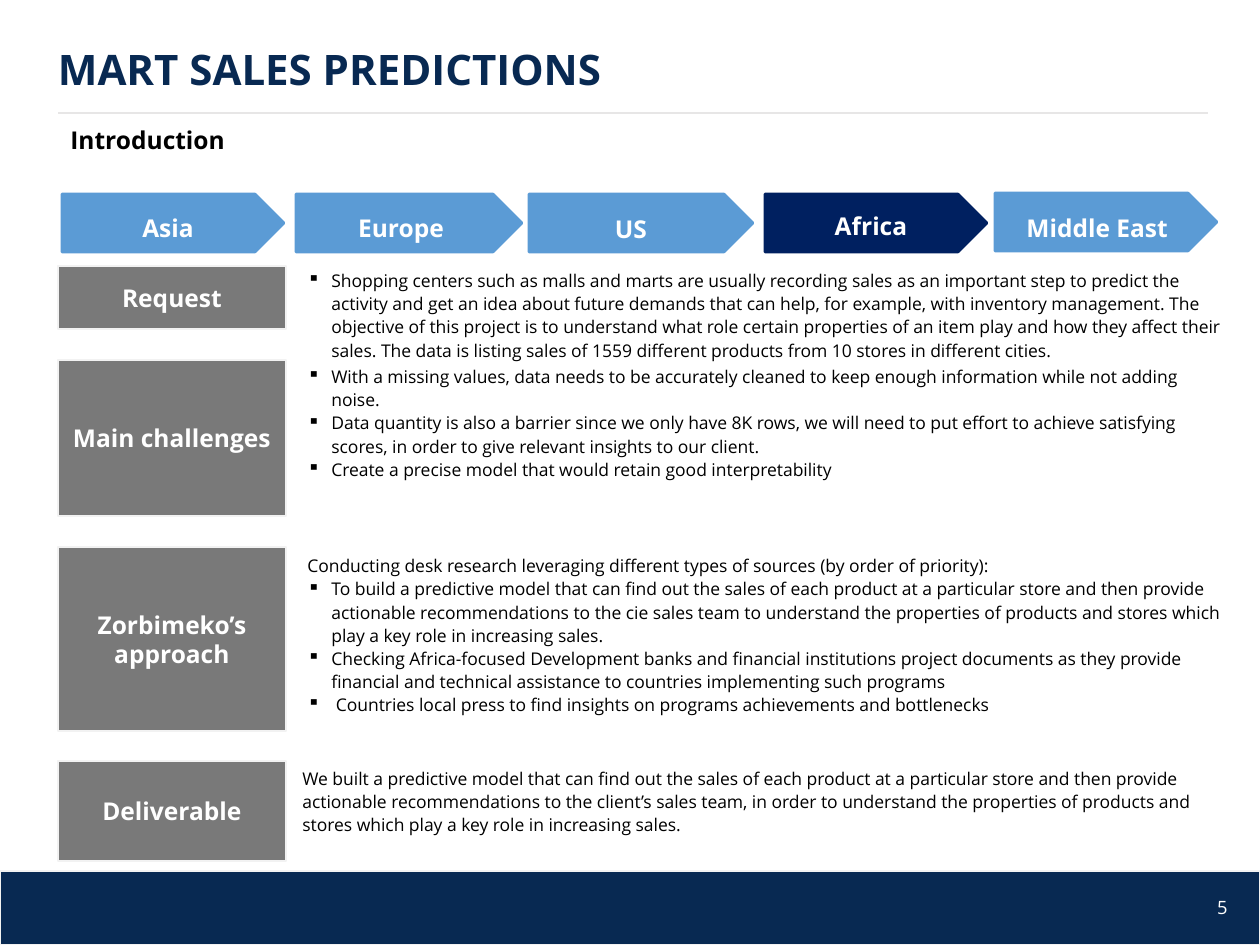
import pptx
import pptx.dml.color
import pptx.enum.shapes
import pptx.enum.text
import pptx.oxml.ns
import pptx.util
from lxml import etree

RGBColor = pptx.dml.color.RGBColor
Shapes = pptx.enum.shapes.MSO_SHAPE
Align = pptx.enum.text.PP_ALIGN
Anchor = pptx.enum.text.MSO_ANCHOR

NAVY = RGBColor(0x08, 0x29, 0x52)
DEEP_BLUE = RGBColor(0x00, 0x20, 0x60)
SKY = RGBColor(0x5B, 0x9B, 0xD5)
GREY = RGBColor(0x79, 0x79, 0x79)
PALE = RGBColor(0xF2, 0xF2, 0xF2)
RULE = RGBColor(0xE7, 0xE6, 0xE6)
WHITE = RGBColor(0xFF, 0xFF, 0xFF)
BLACK = RGBColor(0x00, 0x00, 0x00)

FONT = "Open Sans"
INDENT = 24
BULLET = "▪"

# Region name, chevron (left, top, width), label (left, top), fill, alignment
REGIONS = [
    ("Asia", (62, 194, 222), (69, 204), SKY, Align.CENTER),
    ("Europe", (296, 194, 226), (302, 204), SKY, Align.CENTER),
    ("US", (529, 194, 224), (532, 205), SKY, Align.CENTER),
    ("Africa", (765, 194, 222), (772, 202), DEEP_BLUE, Align.CENTER),
    ("Middle East", (995, 193, 222), (1014, 204), SKY, Align.LEFT),
]

# Heading, heading (top, height), text box, (bulleted, wording) paragraphs
SECTIONS = [
    ("Request", (266, 63), (295, 262, 956, 100), [
        (True, "Shopping centers such as malls and marts are usually recording sales as an "
               "important step to predict the activity and get an idea about future demands that "
               "can help, for example, with inventory management. The objective of this project is "
               "to understand what role certain properties of an item play and how they affect "
               "their sales. The data is listing sales of 1559 different products from 10 stores "
               "in different cities."),
    ]),
    ("Main challenges", (360, 156), (295, 358, 945, 152), [
        (True, "With a missing values, data needs to be accurately cleaned to keep enough "
               "information while not adding noise."),
        (True, "Data quantity is also a barrier since we only have 8K rows, we will need to put "
               "effort to achieve satisfying scores, in order to give relevant insights to our "
               "client."),
        (True, "Create a precise model that would retain good interpretability"),
    ]),
    ("Zorbimeko’s approach", (547, 184), (295, 547, 945, 184), [
        (False, "Conducting desk research leveraging different types of sources (by order of "
                "priority):"),
        (True, "To build a predictive model that can find out the sales of each product at a "
               "particular store and then provide actionable recommendations to the cie sales team "
               "to understand the properties of products and stores which play a key role in "
               "increasing sales."),
        (True, "Checking Africa-focused Development banks and financial institutions project "
               "documents as they provide financial and technical assistance to countries "
               "implementing such programs"),
        (True, " Countries local press to find insights on programs achievements and bottlenecks"),
    ]),
    ("Deliverable", (761, 100), (290, 760, 953, 100), [
        (False, "We built a predictive model that can find out the sales of each product at a "
                "particular store and then provide actionable recommendations to the client’s "
                "sales team, in order to understand the properties of products and stores which "
                "play a key role in increasing sales."),
    ]),
]


def px(length):
    return pptx.util.Emu(round(length * 914400 / 126))


def style_para(para, size, color, bold=False, align=Align.LEFT, spacing=1.1):
    para.alignment = align
    para.line_spacing = spacing
    para.font.name = FONT
    para.font.size = pptx.util.Pt(size)
    para.font.bold = bold
    para.font.color.rgb = color


def add_bullet(para):
    properties = para._p.get_or_add_pPr()
    properties.set("marL", str(px(INDENT)))
    properties.set("indent", str(px(-INDENT)))
    mark = etree.SubElement(properties, pptx.oxml.ns.qn("a:buChar"))
    mark.set("char", BULLET)


def add_text(page, box, text, size, color, **style):
    frame = page.shapes.add_textbox(*map(px, box)).text_frame
    frame.word_wrap = True
    para = frame.paragraphs[0]
    para.text = text
    style_para(para, size, color, **style)
    return frame


def add_block(page, kind, box, fill, line, line_width):
    shape = page.shapes.add_shape(kind, *map(px, box))
    shape.shadow.inherit = False
    shape.fill.solid()
    shape.fill.fore_color.rgb = fill
    shape.line.color.rgb = line
    shape.line.width = pptx.util.Pt(line_width)
    return shape


def add_header(page, left, top, width):
    title = add_text(page, (left, top, width, 60), "MART SALES PREDICTIONS", 24, NAVY,
                     bold=True, spacing=0.9)
    title.margin_left = title.margin_right = 0
    rule = page.shapes.add_connector(
        pptx.enum.shapes.MSO_CONNECTOR.STRAIGHT,
        px(left + width + 6), px(top + 70), px(left), px(top + 70))
    rule.line.color.rgb = RULE
    rule.line.width = pptx.util.Pt(0.75)
    etree.SubElement(rule._element.spPr, pptx.oxml.ns.qn("a:effectLst"))
    add_text(page, (left, top + 73, width, 70), "Introduction", 14, BLACK, bold=True)


def add_region(page, name, chevron, label, fill, align):
    add_block(page, Shapes.PENTAGON, (*chevron, 58), fill, fill, 1.5)
    add_text(page, (*label, 198, 43), name, 14, WHITE, bold=True, align=align)


def add_section(page, heading, span, text_box, items):
    # Grey heading
    top, height = span
    block = add_block(page, Shapes.RECTANGLE, (58, top, 228, height), GREY, PALE, 0.75)
    block.text_frame.word_wrap = True
    block.text_frame.vertical_anchor = Anchor.MIDDLE
    para = block.text_frame.paragraphs[0]
    para.text = heading
    style_para(para, 14, WHITE, bold=True, align=Align.CENTER, spacing=1.0)

    # Description
    frame = page.shapes.add_textbox(*map(px, text_box)).text_frame
    frame.word_wrap = True
    for index, (bulleted, wording) in enumerate(items):
        para = frame.add_paragraph() if index else frame.paragraphs[0]
        para.text = wording
        if bulleted:
            add_bullet(para)
        style_para(para, 10, BLACK)


def add_footer(page, left, top, width, height):
    add_block(page, Shapes.RECTANGLE, (left, top, width, height), NAVY, PALE, 0.75)
    number = add_text(page, (left + width - 82, top + 11, 62, 50), "5", 10.5, WHITE,
                      align=Align.RIGHT, spacing=1.0)
    number.vertical_anchor = Anchor.MIDDLE


def main():
    deck = pptx.Presentation()
    deck.slide_width, deck.slide_height = px(1260), px(945)
    page = deck.slides.add_slide(deck.slide_layouts[6])
    add_footer(page, 0, 871, 1260, 74)
    add_header(page, 58, 43, 1144)
    for region in REGIONS:
        add_region(page, *region)
    for section in SECTIONS:
        add_section(page, *section)
    deck.save("out.pptx")


if __name__ == "__main__":
    main()
